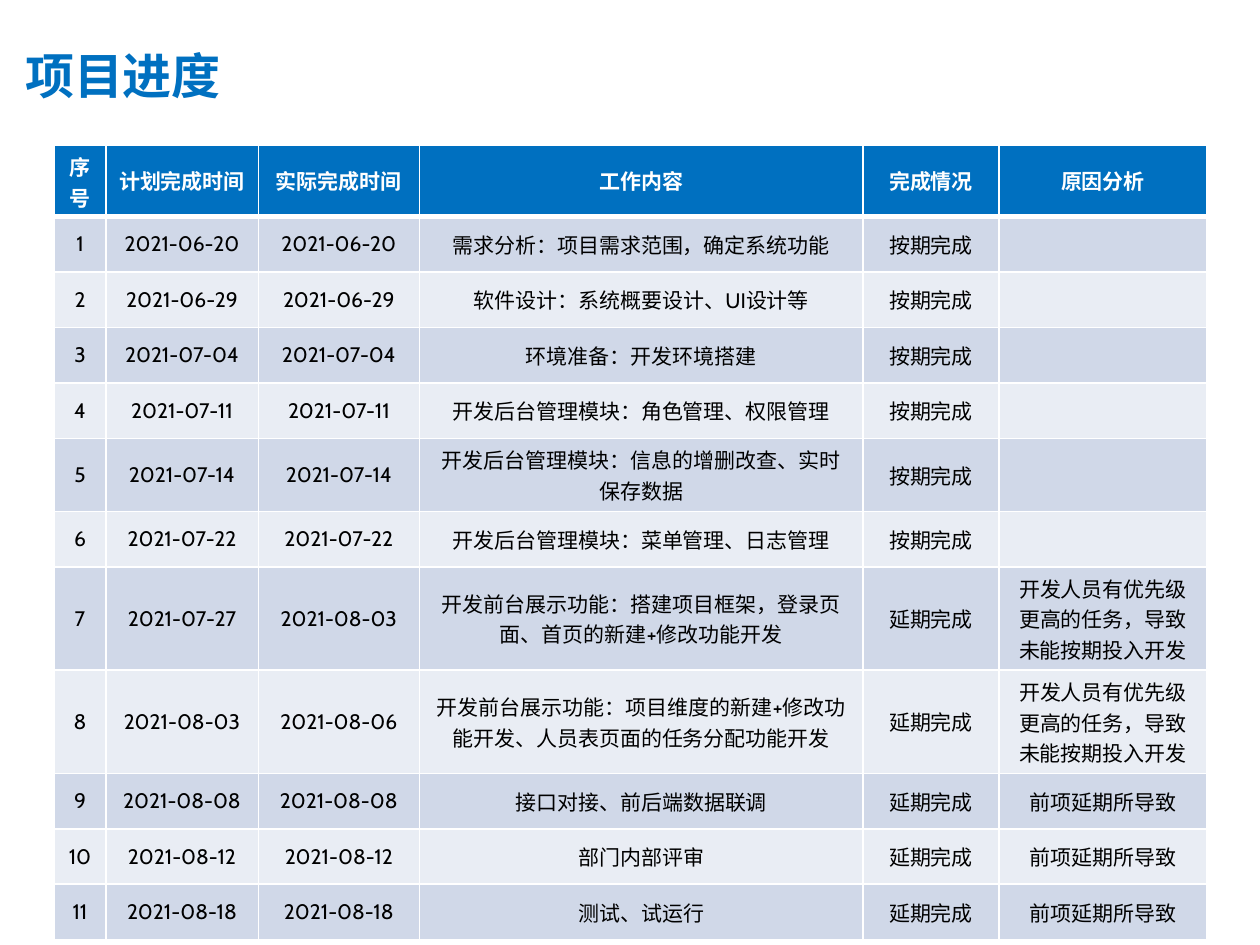
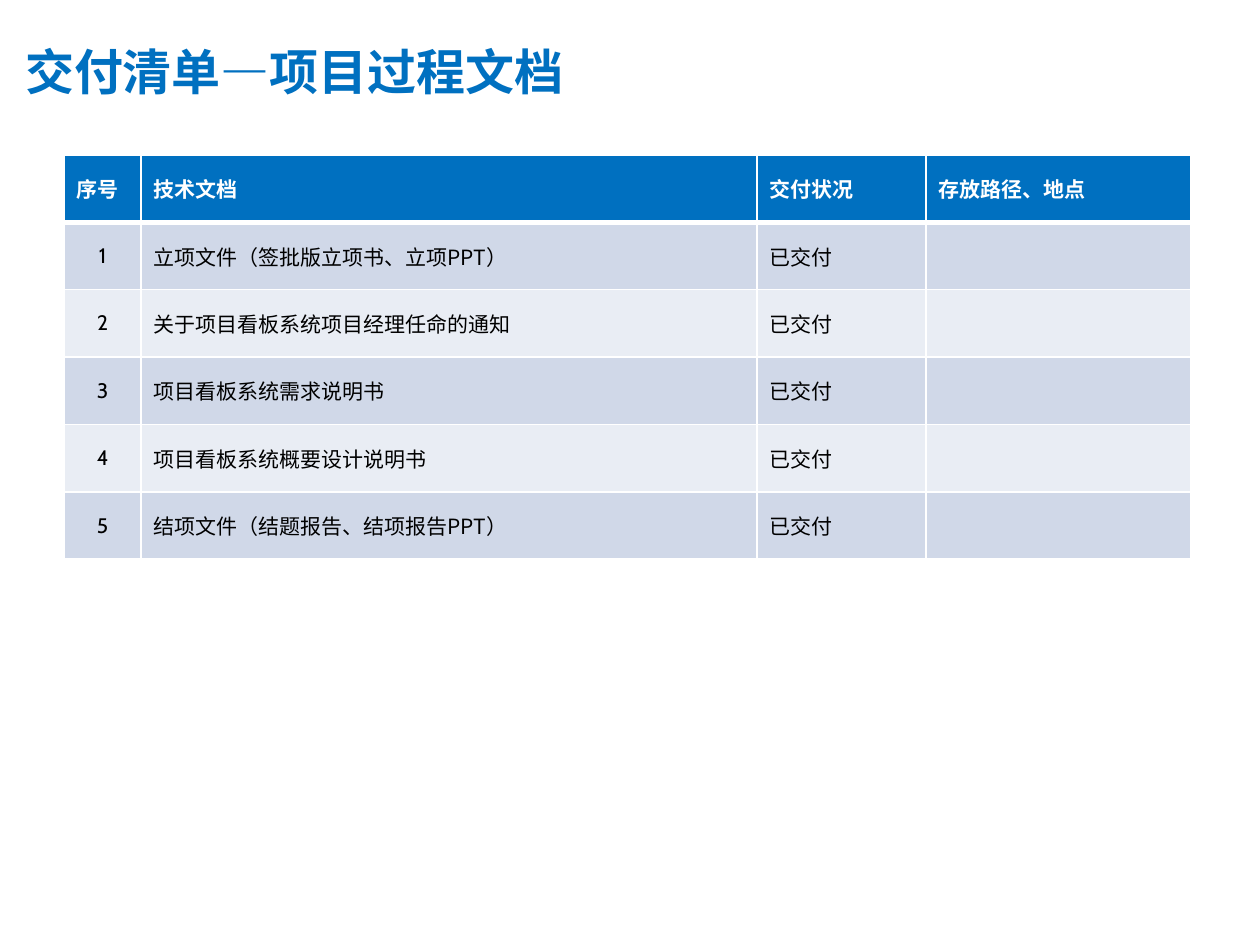
import lxml.etree
import pptx
import pptx.dml.color
import pptx.enum.text
import pptx.oxml
import pptx.oxml.ns
import pptx.util

Inches = pptx.util.Inches
Pt = pptx.util.Pt
RGBColor = pptx.dml.color.RGBColor
qn = pptx.oxml.ns.qn
LEFT = pptx.enum.text.PP_ALIGN.LEFT
CENTER = pptx.enum.text.PP_ALIGN.CENTER
MIDDLE = pptx.enum.text.MSO_ANCHOR.MIDDLE

BLUE = RGBColor(0x00, 0x70, 0xC0)
WHITE = RGBColor(0xFF, 0xFF, 0xFF)
BLACK = RGBColor(0x00, 0x00, 0x00)
BANDS = (RGBColor(0xD0, 0xD8, 0xE8), RGBColor(0xE9, 0xED, 0xF4))

CJK_FONT = "Noto Sans CJK SC"
SPACER_FONT = {"name": "Arial", "size": Pt(32), "bold": True}
TITLE_FONT = {"name": CJK_FONT, "size": Pt(28), "bold": True}
HEADER_FONT = {"name": "Cabin", "size": Pt(12), "bold": True}
BODY_FONT = {"name": "Cabin", "size": Pt(12), "bold": False}
DOCUMENT_FONT = {"name": CJK_FONT, "size": Pt(12), "bold": False}

ON_TIME = "按期完成"
LATE = "延期完成"
PRIORITY = "开发人员有优先级更高的任务，导致未能按期投入开发"
PREVIOUS = "前项延期所导致"

PROGRESS_HEADERS = ("序号", "计划完成时间", "实际完成时间", "工作内容", "完成情况", "原因分析")
PROGRESS = (
    ("06-20", "06-20", "需求分析：项目需求范围，确定系统功能", ON_TIME, ""),
    ("06-29", "06-29", "软件设计：系统概要设计、UI设计等", ON_TIME, ""),
    ("07-04", "07-04", "环境准备：开发环境搭建", ON_TIME, ""),
    ("07-11", "07-11", "开发后台管理模块：角色管理、权限管理", ON_TIME, ""),
    ("07-14", "07-14", "开发后台管理模块：信息的增删改查、实时保存数据", ON_TIME, ""),
    ("07-22", "07-22", "开发后台管理模块：菜单管理、日志管理", ON_TIME, ""),
    ("07-27", "08-03", "开发前台展示功能：搭建项目框架，登录页面、首页的新建+修改功能开发", LATE, PRIORITY),
    ("08-03", "08-06", "开发前台展示功能：项目维度的新建+修改功能开发、人员表页面的任务分配功能开发",
     LATE, PRIORITY),
    ("08-08", "08-08", "接口对接、前后端数据联调", LATE, PREVIOUS),
    ("08-12", "08-12", "部门内部评审", LATE, PREVIOUS),
    ("08-18", "08-18", "测试、试运行", LATE, PREVIOUS),
)
ROW_HEIGHT = 0.44
TALL_ROWS = {0: 0.57, 5: 0.58, 7: 0.82, 8: 0.82}

DELIVERY_HEADERS = ("序号", "技术文档", "交付状况", "存放路径、地点")
DOCUMENTS = (
    "立项文件（签批版立项书、立项PPT）",
    "关于项目看板系统项目经理任命的通知",
    "项目看板系统需求说明书",
    "项目看板系统概要设计说明书",
    "结项文件（结题报告、结项报告PPT）",
)
DELIVERY_HEIGHT = 3.21


def add_run(paragraph, text, font_format, color):
    """Add a run with Latin and East Asian fonts."""
    run = paragraph.add_run()
    run.text = text
    for name, value in font_format.items():
        setattr(run.font, name, value)
    run.font.color.rgb = color
    east_asian = lxml.etree.SubElement(run.font._element, qn("a:ea"))
    east_asian.set("typeface", CJK_FONT)


def add_title(slide, text, top):
    """Add the blue slide title at the given height."""
    box = slide.shapes.add_textbox(0, Inches(top), Inches(7.7), Inches(0.7))
    frame = box.text_frame
    frame.word_wrap = True
    frame.vertical_anchor = MIDDLE
    paragraph = frame.paragraphs[0]
    add_run(paragraph, " ", SPACER_FONT, BLUE)
    add_run(paragraph, text, TITLE_FONT, BLUE)


def add_borders(cell, bottom_width):
    """Draw white lines around a cell."""
    properties = cell._tc.get_or_add_tcPr()
    for side, width in (("L", 1), ("R", 1), ("T", 1), ("B", bottom_width)):
        line = lxml.etree.SubElement(properties, qn(f"a:ln{side}"), w=str(Pt(width)))
        fill = lxml.etree.SubElement(line, qn("a:solidFill"))
        lxml.etree.SubElement(fill, qn("a:srgbClr"), val=str(WHITE))


def fill_cell(cell, text, row_index, alignment, body_font):
    """Write and style one header or body cell."""
    is_header = row_index == 0
    add_borders(cell, 3 if is_header else 1)
    cell.fill.solid()
    cell.fill.fore_color.rgb = BLUE if is_header else BANDS[(row_index - 1) % 2]
    cell.vertical_anchor = MIDDLE
    paragraph = cell.text_frame.paragraphs[0]
    paragraph.alignment = alignment
    if text:
        add_run(paragraph, text, HEADER_FONT if is_header else body_font,
                WHITE if is_header else BLACK)
    else:
        lxml.etree.SubElement(paragraph._p, qn("a:endParaRPr"), sz="1200")


def add_banded_table(slide, rows, left, top, column_widths, row_heights, align, fonts):
    """Add a banded table; align maps row and column, fonts maps column."""
    table = slide.shapes.add_table(
        len(rows), len(column_widths), Inches(left), Inches(top),
        Inches(sum(column_widths)), Inches(sum(row_heights))).table
    for column, width in zip(table.columns, column_widths):
        column.width = Inches(width)
    for row, height in zip(table.rows, row_heights):
        row.height = Inches(height)
    for row_index, values in enumerate(rows):
        for column_index, text in enumerate(values):
            fill_cell(table.cell(row_index, column_index), text, row_index,
                      align(row_index, column_index),
                      fonts.get(column_index, BODY_FONT))


def build_progress_slide(slide):
    """Build the project schedule."""
    add_title(slide, "项目进度", 0.22)
    rows = [PROGRESS_HEADERS]
    for number, (planned, actual, *details) in enumerate(PROGRESS, 1):
        rows.append((str(number), f"2021-{planned}", f"2021-{actual}", *details))
    heights = [TALL_ROWS.get(index, ROW_HEIGHT) for index in range(len(rows))]
    add_banded_table(slide, rows, 0.43, 1.15, (0.41, 1.21, 1.28, 3.52, 1.08, 1.65),
                     heights, lambda row, column: CENTER, {})


def build_delivery_slide(slide):
    """Build the list of delivered documents."""
    add_title(slide, "交付清单—项目过程文档", 0.19)
    rows = [DELIVERY_HEADERS]
    for number, document in enumerate(DOCUMENTS, 1):
        rows.append((str(number), document, "已交付", ""))
    add_banded_table(slide, rows, 0.51, 1.23, (0.61, 4.89, 1.34, 2.1),
                     [DELIVERY_HEIGHT / len(rows)] * len(rows),
                     lambda row, column: CENTER if row and not column else LEFT,
                     {1: DOCUMENT_FONT})


def main():
    """Create and save the presentation."""
    presentation = pptx.Presentation()
    presentation.slide_width = Inches(10)
    presentation.slide_height = Inches(7.5)
    for build in (build_progress_slide, build_delivery_slide):
        build(presentation.slides.add_slide(presentation.slide_layouts[6]))
    presentation.save("out.pptx")


if __name__ == "__main__":
    main()
